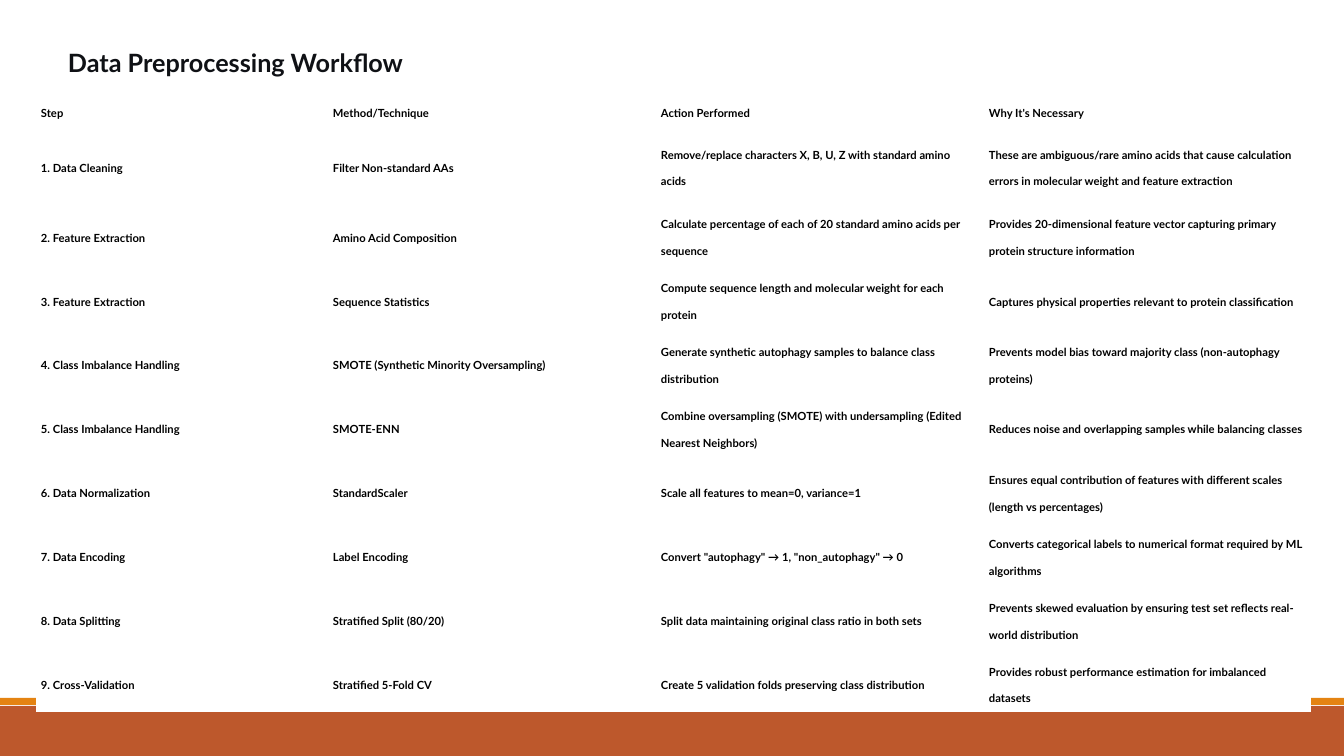
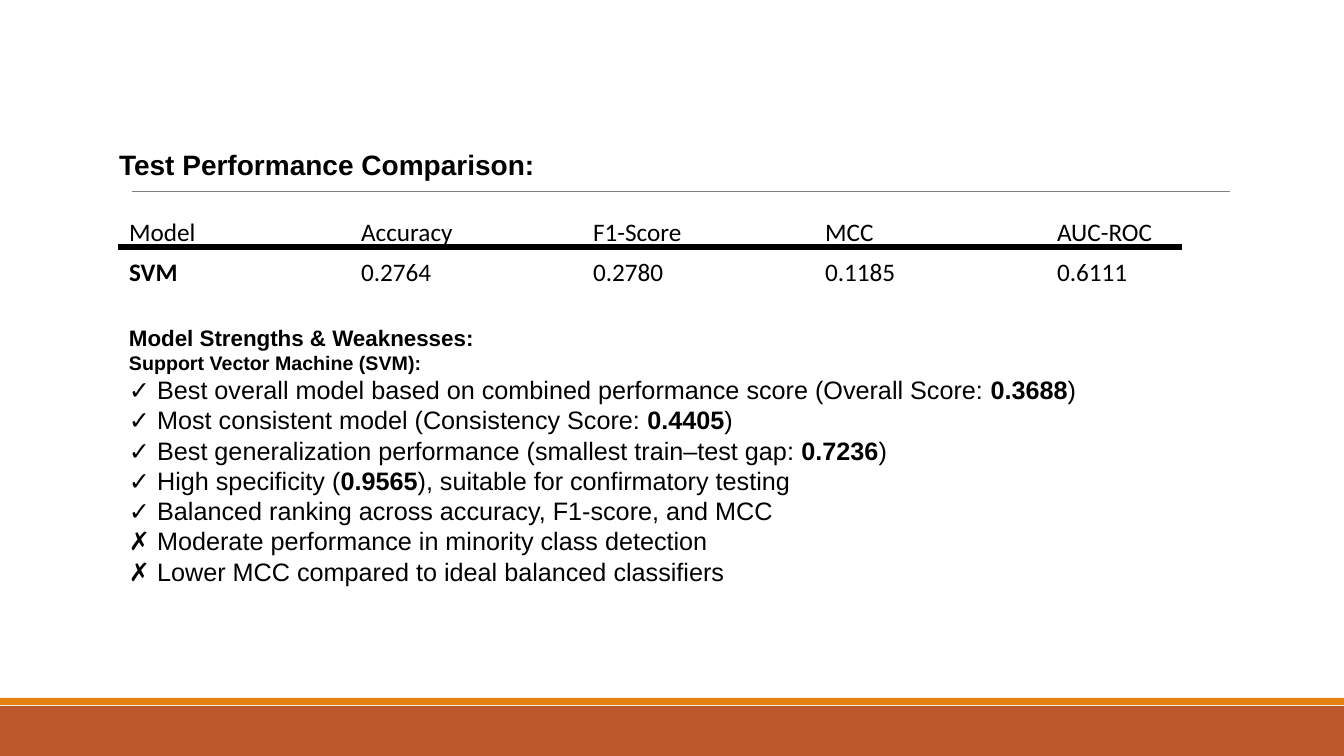
from dataclasses import dataclass
from itertools import product

from lxml import etree
from pptx import Presentation
from pptx.dml.color import RGBColor
from pptx.enum.shapes import MSO_CONNECTOR, MSO_SHAPE
from pptx.enum.text import MSO_ANCHOR
from pptx.oxml.ns import qn
from pptx.util import Emu, Pt

STRAIGHT = MSO_CONNECTOR.STRAIGHT
RECTANGLE = MSO_SHAPE.RECTANGLE
MIDDLE = MSO_ANCHOR.MIDDLE
TOP = MSO_ANCHOR.TOP
BLANK_LAYOUT = 6
EMU_PER_PX = 914400 / 100.8
SLIDE_WIDTH, SLIDE_HEIGHT = 1344, 756


@dataclass(frozen=True)
class Theme:
    """Colours and text formats of the presentation."""

    white: str = "FFFFFF"
    black: str = "000000"
    ink: str = "0F1115"
    rust: str = "BD582C"
    orange: str = "E48312"
    grey: str = "808080"

    def text(self, font, size, bold=False, color=black):
        """Return the format values of a run."""
        return {"name": font, "size": Pt(size), "bold": bold, "color": color}


THEME = Theme()
WORKFLOW_TITLE = THEME.text("Lato", 18, True, THEME.ink)
WORKFLOW_CELL = THEME.text("Lato", 8, True)
RESULT_TITLE = THEME.text("Arial", 20, True)
RESULT_CELL = THEME.text("Calibri", 18)
SECTION = THEME.text("Arial", 16, True)
SUBSECTION = THEME.text("Arial", 14, True)
FINDING = THEME.text("Arial", 18)

WORKFLOW = (
    ("Step", "Method/Technique", "Action Performed", "Why It's Necessary"),
    ("1. Data Cleaning", "Filter Non-standard AAs",
     "Remove/replace characters X, B, U, Z with standard amino acids",
     "These are ambiguous/rare amino acids that cause calculation errors "
     "in molecular weight and feature extraction"),
    ("2. Feature Extraction", "Amino Acid Composition",
     "Calculate percentage of each of 20 standard amino acids per sequence",
     "Provides 20-dimensional feature vector capturing primary protein "
     "structure information"),
    ("3. Feature Extraction", "Sequence Statistics",
     "Compute sequence length and molecular weight for each protein",
     "Captures physical properties relevant to protein classification"),
    ("4. Class Imbalance Handling", "SMOTE (Synthetic Minority Oversampling)",
     "Generate synthetic autophagy samples to balance class distribution",
     "Prevents model bias toward majority class (non-autophagy proteins)"),
    ("5. Class Imbalance Handling", "SMOTE-ENN",
     "Combine oversampling (SMOTE) with undersampling "
     "(Edited Nearest Neighbors)",
     "Reduces noise and overlapping samples while balancing classes"),
    ("6. Data Normalization", "StandardScaler",
     "Scale all features to mean=0, variance=1",
     "Ensures equal contribution of features with different scales "
     "(length vs percentages)"),
    ("7. Data Encoding", "Label Encoding",
     'Convert "autophagy" → 1, "non_autophagy" → 0',
     "Converts categorical labels to numerical format required by ML "
     "algorithms"),
    ("8. Data Splitting", "Stratified Split (80/20)",
     "Split data maintaining original class ratio in both sets",
     "Prevents skewed evaluation by ensuring test set reflects real-world "
     "distribution"),
    ("9. Cross-Validation", "Stratified 5-Fold CV",
     "Create 5 validation folds preserving class distribution",
     "Provides robust performance estimation for imbalanced datasets"),
)
RESULTS = (
    ("Model", "Accuracy", "F1-Score", "MCC", "AUC-ROC"),
    ("**SVM**", "0.2764", "0.2780", "0.1185", "0.6111"),
)
FINDINGS = (
    "✓ Best overall model based on combined performance score "
    "(Overall Score: **0.3688**)",
    "✓ Most consistent model (Consistency Score: **0.4405**)",
    "✓ Best generalization performance (smallest train–test gap: **0.7236**)",
    "✓ High specificity (**0.9565**), suitable for confirmatory testing",
    "✓ Balanced ranking across accuracy, F1-score, and MCC",
    "✗ Moderate performance in minority class detection",
    "✗ Lower MCC compared to ideal balanced classifiers",
)


def px(*lengths):
    """Turn pixel lengths into a list of EMU lengths."""
    return [Emu(round(length * EMU_PER_PX)) for length in lengths]


def rgb(color):
    """Return the colour object of a hex string."""
    return RGBColor.from_string(color)


def apply(target, values):
    """Set attributes of an object from a dict."""
    for name, value in values.items():
        setattr(target, name, value)


def margins(left, top, right, bottom):
    """Return the four inset values of a cell or text frame."""
    sides = ("margin_left", "margin_top", "margin_right", "margin_bottom")
    return dict(zip(sides, px(left, top, right, bottom)))


def write(paragraph, text, style, line_spacing=None):
    """Write text into a paragraph, with **marked** parts in bold."""
    paragraph.line_spacing = line_spacing
    for index, part in enumerate(text.split("**")):
        if not part:
            continue
        run = paragraph.add_run()
        run.text = part
        values = dict(style)
        run.font.color.rgb = rgb(values.pop("color"))
        values["bold"] = values["bold"] or index % 2 == 1
        apply(run.font, values)


def add_text(slide, box, lines, anchor=TOP, line_spacing=None):
    """Add a text box from pairs of text and style."""
    frame = slide.shapes.add_textbox(*px(*box)).text_frame
    apply(frame, {"word_wrap": True, "vertical_anchor": anchor,
                  **margins(0, 0, 0, 0)})
    for index, (text, style) in enumerate(lines):
        paragraph = frame.add_paragraph() if index else frame.paragraphs[0]
        write(paragraph, text, style, line_spacing)


def add_bar(slide, box, color, outline=None):
    """Add a filled rectangle, outlined if a line width is given."""
    shape = slide.shapes.add_shape(RECTANGLE, *px(*box))
    shape.shadow.inherit = False
    shape.fill.solid()
    shape.fill.fore_color.rgb = rgb(color)
    if outline:
        shape.line.color.rgb = rgb(color)
        shape.line.width = outline
    else:
        shape.line.fill.background()


def add_rule(slide, ends, color, width):
    """Add a straight line without shadow."""
    connector = slide.shapes.add_connector(STRAIGHT, *px(*ends))
    connector.line.color.rgb = rgb(color)
    connector.line.width = width
    etree.SubElement(connector._element.spPr, qn("a:effectLst"))


def add_table(slide, origin, widths, heights, rows, style, fill=None,
              line_spacing=None, insets=None):
    """Add a plain table; insets gives the cell margins by column."""
    box = px(*origin, sum(widths), sum(heights))
    table = slide.shapes.add_table(len(rows), len(widths), *box).table
    apply(table, {"first_row": False, "horz_banding": False})
    for column, width in zip(table.columns, px(*widths)):
        column.width = width
    for row, height in zip(table.rows, px(*heights)):
        row.height = height
    for row, column in product(range(len(rows)), range(len(widths))):
        cell = table.cell(row, column)
        cell.vertical_anchor = MIDDLE
        if insets:
            apply(cell, margins(*insets[column]))
        if fill:
            cell.fill.solid()
            cell.fill.fore_color.rgb = rgb(fill)
        else:
            cell.fill.background()
        write(cell.text_frame.paragraphs[0], rows[row][column], style,
              line_spacing)


def add_slide(presentation):
    """Add a slide with the shared footer bands and title rule."""
    slide = presentation.slides.add_slide(
        presentation.slide_layouts[BLANK_LAYOUT])
    add_bar(slide, (0, 706, SLIDE_WIDTH, 50), THEME.rust)
    add_bar(slide, (0, 698, SLIDE_WIDTH, 7), THEME.orange)
    add_rule(slide, (132, 191, 1230, 191), THEME.grey, Pt(0.5))
    return slide


def build_workflow(presentation):
    """Build the slide with the preprocessing steps."""
    slide = add_slide(presentation)
    inner = (6, 4, 6, 4)
    add_table(slide, (37, 90), (290, 328, 328, 327), [34, 75] + [64] * 8,
              WORKFLOW, WORKFLOW_CELL, THEME.white, Pt(18.8),
              ((4, 4, 6, 4), inner, inner, (6, 4, 4, 4)))
    add_text(slide, (68, 42, 652, 36),
             [("Data Preprocessing Workflow", WORKFLOW_TITLE)],
             line_spacing=Pt(25.5))


def build_results(presentation):
    """Build the slide with the test scores and findings."""
    slide = add_slide(presentation)
    add_table(slide, (119, 212), [232] * 5, [40] * 2, RESULTS, RESULT_CELL)
    add_text(slide, (119, 148, 440, 32),
             [("Test Performance Comparison:", RESULT_TITLE)])
    add_bar(slide, (119, 245, 1063, 5), THEME.black, Pt(0.75))
    add_text(slide, (129, 322, 1000, 266),
             [("Model Strengths & Weaknesses:", SECTION),
              ("Support Vector Machine (SVM):", SUBSECTION),
              *((finding, FINDING) for finding in FINDINGS)], MIDDLE)


def main():
    """Build and save the presentation."""
    presentation = Presentation()
    width, height = px(SLIDE_WIDTH, SLIDE_HEIGHT)
    apply(presentation, {"slide_width": width, "slide_height": height})
    build_workflow(presentation)
    build_results(presentation)
    presentation.save("out.pptx")


if __name__ == "__main__":
    main()
